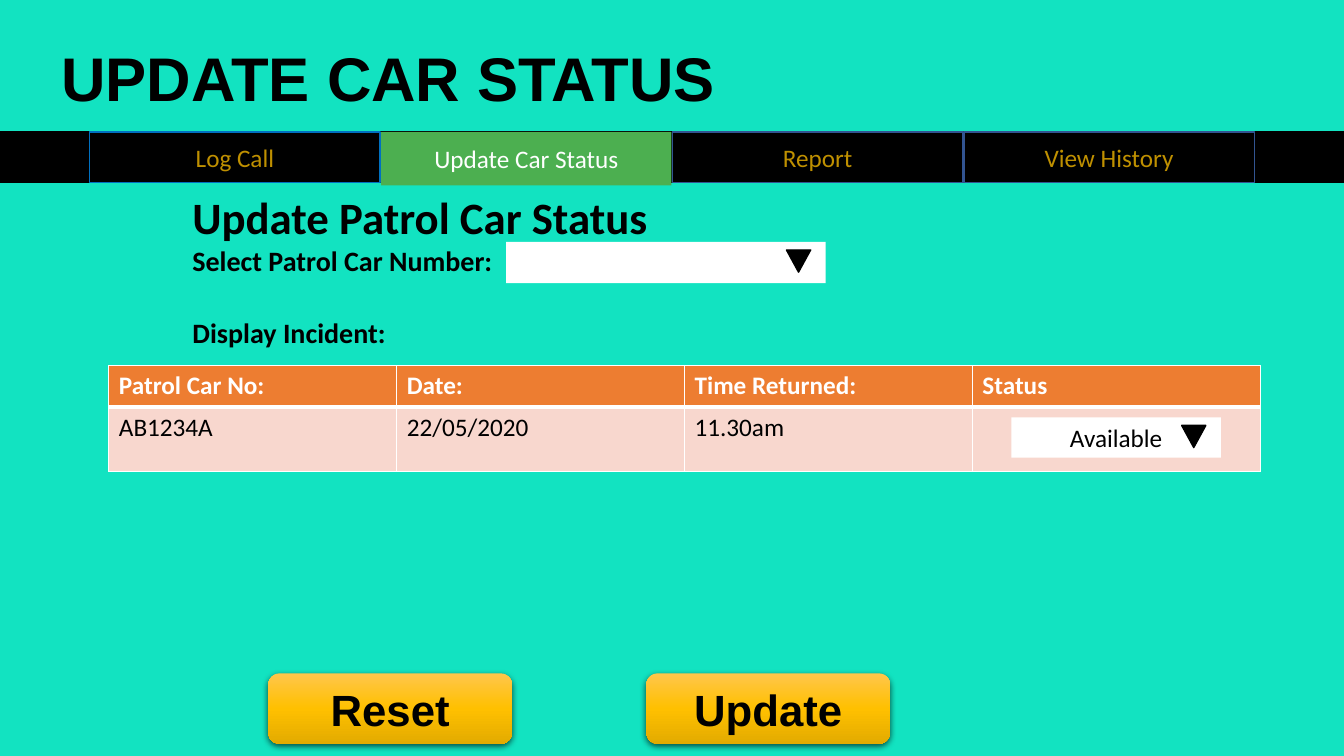
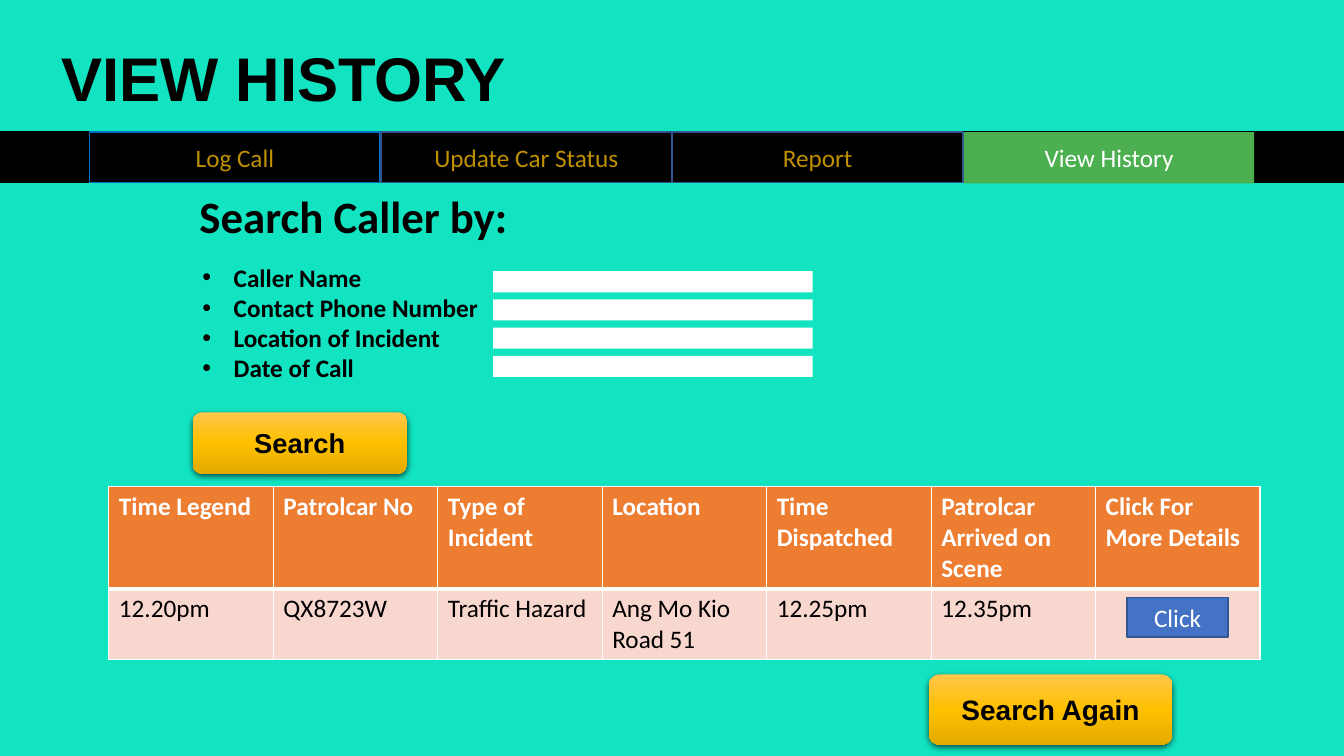
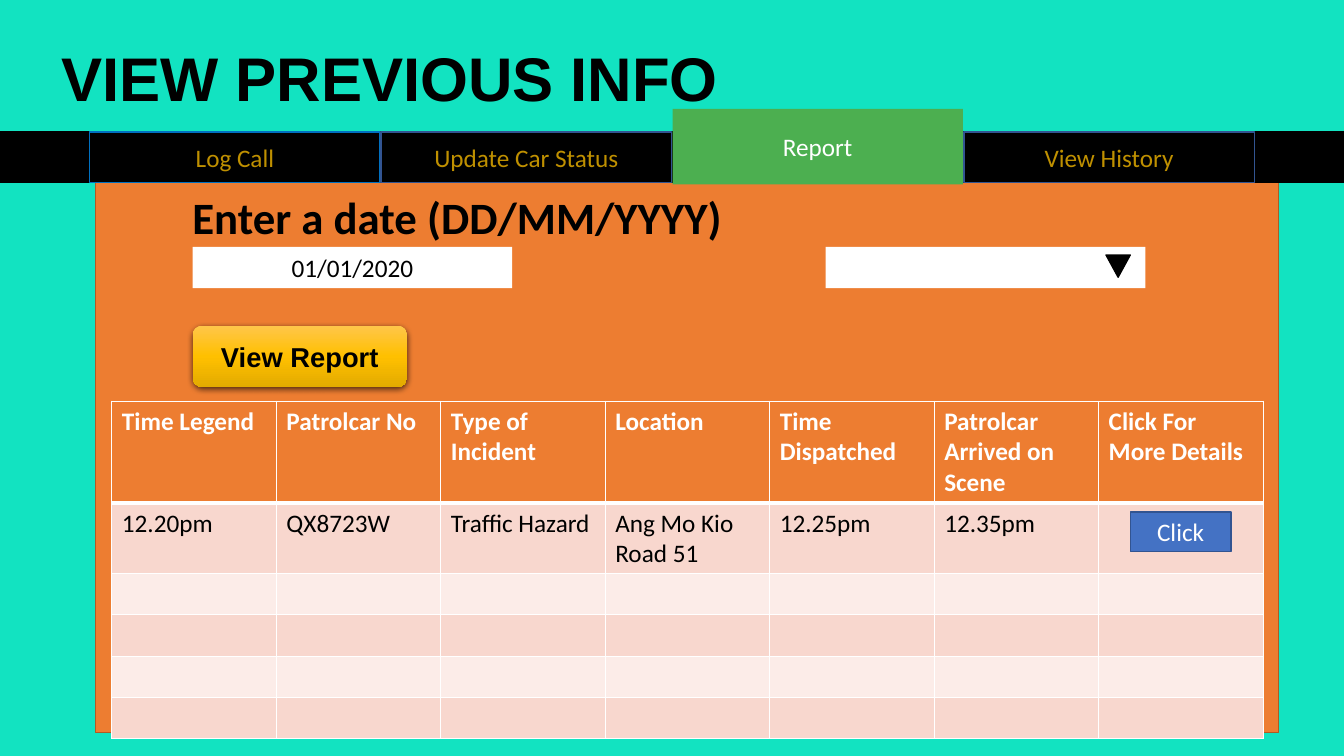
from dataclasses import dataclass

from pptx import Presentation
from pptx.dml.color import RGBColor as Rgb
from pptx.enum.shapes import MSO_SHAPE as Form
from pptx.enum.text import MSO_ANCHOR as Anchor, PP_ALIGN as Align
from pptx.oxml import parse_xml
from pptx.oxml.ns import nsdecls
from pptx.util import Inches, Pt


@dataclass(frozen=True)
class Theme:
    """Colours, fonts and type sizes of the deck."""

    back: str = "12E3C1"
    ink: str = "000000"
    paper: str = "FFFFFF"
    gold: str = "BF9000"
    green: str = "4CAF50"
    blue: str = "4472C4"
    navy: str = "325491"
    sky: str = "0070C0"
    orange: str = "ED7D31"
    rust: str = "AF5C24"
    bands: tuple = ("F8D7CE", "FCECE8")
    glow: tuple = ((0, "FFC64B"), (50, "FFC000"), (100, "E3AB00"))
    sans: str = "Arial"
    body: str = "Calibri"
    title: float = 44
    head: float = 32
    label: float = 20
    text: float = 18
    large: float = 31.2
    small: float = 19.5


@dataclass(frozen=True)
class Box:
    """A rectangle in inches."""

    x: float
    y: float
    w: float
    h: float

    def sub(self, x, y, w, h):
        """Return a box placed from this one's top left corner."""
        return Box(self.x + x, self.y + y, w, h)

    def frame(self):
        """Return the four lengths for a shape."""
        return [Inches(n) for n in (self.x, self.y, self.w, self.h)]


T = Theme()
WIDE, HIGH = 13.33, 7.5
TITLE = Box(0.51, 0.3, 9.7, 0.89)
BAND = Box(0, 1.31, WIDE, 0.5)
BODY = Box(1.08, 1.81, 11.42, 5.69)
TABS = ("Log Call", "Update Car Status", "Report", "View History")
STEP = 2.89
HEADS = ("Time Legend", "Patrolcar No", "Type of Incident", "Location",
         "Time Dispatched", "Patrolcar Arrived on Scene", "Click For More Details")
CALL = ("12.20pm", "QX8723W", "Traffic Hazard", "Ang Mo Kio Road 51",
        "12.25pm", "12.35pm", "")


def write(para, words, size, color=T.ink, font=T.body, bold=False):
    """Add one styled run to a paragraph."""
    run = para.add_run()
    run.text = words
    run.font.size, run.font.name, run.font.bold = Pt(size), font, bold
    run.font.color.rgb = Rgb.from_string(color)


def block(page, box, lines, font=T.body, bullet=False):
    """Place a text box of bold lines, each given as words and size."""
    frame = page.shapes.add_textbox(*box.frame()).text_frame
    frame.word_wrap = True
    for i, (words, size) in enumerate(lines):
        para = frame.add_paragraph() if i else frame.paragraphs[0]
        write(para, words, size, font=font, bold=True)
        if bullet:
            props = para._p.get_or_add_pPr()
            props.set("marL", str(Inches(0.31)))
            props.set("indent", str(Inches(-0.31)))
            props.append(parse_xml(f'<a:buFont {nsdecls("a")} typeface="{T.sans}"/>'))
            props.append(parse_xml(f'<a:buChar {nsdecls("a")} char="•"/>'))
    return frame


def panel(page, box, fill=None, line=None, form=Form.RECTANGLE):
    """Place a flat shape."""
    shape = page.shapes.add_shape(form, *box.frame())
    shape.shadow.inherit = False
    if fill:
        shape.fill.solid()
        shape.fill.fore_color.rgb = Rgb.from_string(fill)
    else:
        shape.fill.background()
    if line:
        shape.line.color.rgb = Rgb.from_string(line)
        shape.line.width = Pt(1)
    else:
        shape.line.fill.background()
    return shape


def label(shape, words, size=T.text, color=T.ink, font=T.body, bold=False):
    """Centre words in a shape."""
    frame = shape.text_frame
    frame.word_wrap = True
    frame.vertical_anchor = Anchor.MIDDLE
    para = frame.paragraphs[0]
    para.alignment = Align.CENTER
    write(para, words, size, color, font, bold)


def button(page, box, words, size):
    """Place a glossy rounded button with a soft shadow."""
    shape = panel(page, box, form=Form.ROUNDED_RECTANGLE)
    props = shape._element.spPr
    for tag in ("noFill", "effectLst"):
        props.remove(props.find(f"{{{props.nsmap['a']}}}{tag}"))
    stops = "".join(f'<a:gs pos="{at * 1000}"><a:srgbClr val="{color}"/></a:gs>'
                    for at, color in T.glow)
    props.find(f"{{{props.nsmap['a']}}}ln").addprevious(parse_xml(
        f'<a:gradFill {nsdecls("a")}><a:gsLst>{stops}</a:gsLst>'
        '<a:lin ang="5400000" scaled="0"/></a:gradFill>'))
    props.append(parse_xml(
        f'<a:effectLst {nsdecls("a")}><a:outerShdw blurRad="{Pt(4.5)}" dist="{Pt(1.5)}" '
        f'dir="5400000" algn="ctr" rotWithShape="0"><a:srgbClr val="{T.ink}">'
        '<a:alpha val="63000"/></a:srgbClr></a:outerShdw></a:effectLst>'))
    label(shape, words, size, font=T.sans, bold=True)


def field(page, box, words="", arrow=False):
    """Place a white input, with an arrow if it drops down."""
    shape = panel(page, box, T.paper)
    if words:
        label(shape, words)
    if arrow:
        mark = panel(page, box.sub(box.w - 0.39, 0.08, 0.24, 0.22), T.ink, T.ink,
                     Form.ISOSCELES_TRIANGLE)
        mark.rotation = 180


def edge(cell, sides):
    """Draw white borders given as side and width."""
    props = cell._tc.get_or_add_tcPr()
    for side, width in sides:
        props.append(parse_xml(
            f'<a:ln{side} {nsdecls("a")} w="{Pt(width)}"><a:solidFill>'
            f'<a:srgbClr val="{T.paper}"/></a:solidFill></a:ln{side}>'))


def grid(page, box, rows, highs):
    """Place a banded table under an orange header row."""
    cols = len(rows[0])
    table = page.shapes.add_table(len(rows), cols, *box.frame()).table
    table.horz_banding = False
    for col in table.columns:
        col.width = Inches(box.w / cols)
    for i, (row, high) in enumerate(zip(rows, highs)):
        table.rows[i].height = Inches(high)
        for j, words in enumerate(row):
            cell = table.cell(i, j)
            edge(cell, (("L", 1), ("R", 1), ("T", 3 if i == 1 else 1),
                        ("B", 1 if i else 3)))
            cell.fill.solid()
            fill = T.bands[(i - 1) % 2] if i else T.orange
            cell.fill.fore_color.rgb = Rgb.from_string(fill)
            if words:
                write(cell.text_frame.paragraphs[0], words, T.text,
                      T.ink if i else T.paper, bold=not i)


def calls(page, box, spare=0):
    """Place the call log, its spare rows and its details button."""
    rows = [HEADS, CALL] + [("",) * len(HEADS)] * spare
    grid(page, box, rows, [1.01, 0.7] + [0.41] * spare)
    label(panel(page, box.sub(10.1, 1.1, 1, 0.39), T.blue, T.navy), "Click",
          color=T.paper)


def menu(page, box, live, rise, high):
    """Place the black band and its tabs, the live one in green."""
    panel(page, box, T.ink, T.ink)
    for i, name in enumerate(TABS):
        x = 0.89 + i * STEP
        if name == live:
            tab = panel(page, box.sub(x, -rise, 2.88, high), T.green)
        else:
            tab = panel(page, box.sub(x, 0, 2.88, box.h), line=T.navy if i else T.sky)
        label(tab, name, color=T.paper if name == live else T.gold)


def status(page, box):
    """Fill the car status form."""
    block(page, box.sub(0.73, 0.02, 5.54, 0.98),
          [("Update Patrol Car Status", T.head), ("Select Patrol Car Number:", T.label)])
    field(page, box.sub(3.94, 0.59, 3.17, 0.41), arrow=True)
    block(page, box.sub(0.73, 1.27, 2.15, 0.44), [("Display Incident:", T.label)])
    grid(page, box.sub(0, 1.82, box.w, 1.05),
         [("Patrol Car No:", "Date:", "Time Returned:", "Status"),
          ("AB1234A", "22/05/2020", "11.30am", "")], (0.41, 0.64))
    field(page, box.sub(8.95, 2.33, 2.08, 0.4), "Available", arrow=True)
    for x, words in ((1.58, "Reset"), (5.33, "Update")):
        button(page, box.sub(x, 4.87, 2.42, 0.7), words, T.large)


def search(page, box):
    """Fill the caller search form."""
    names = ("Caller Name", "Contact Phone Number", "Location of Incident", "Date of Call")
    block(page, box.sub(0.8, 0.01, 6.38, 0.64), [("Search Caller by:", T.head)])
    block(page, box.sub(0.83, 0.74, 4.52, 1.31), [(name, T.text) for name in names],
          bullet=True)
    for i in range(len(names)):
        field(page, box.sub(3.81, 0.88 + i * 0.28, 3.17, 0.21))
    button(page, box.sub(0.83, 2.28, 2.13, 0.61), "Search", T.small)
    calls(page, box.sub(0, 3.02, box.w, 1.71))
    button(page, box.sub(8.13, 4.88, 2.42, 0.7), "Search Again", T.label)


def report(page, box):
    """Fill the dated report form."""
    panel(page, box.sub(-0.13, -0.5, 11.73, 5.96), T.orange, T.rust)
    block(page, box.sub(0.73, 0.02, 6.38, 0.64), [("Enter a date (DD/MM/YYYY)", T.head)])
    field(page, box.sub(0.83, 0.64, 3.17, 0.41), "01/01/2020")
    field(page, box.sub(7.11, 0.64, 3.17, 0.41), arrow=True)
    button(page, box.sub(0.83, 1.42, 2.13, 0.61), "View Report", T.small)
    calls(page, box.sub(0.03, 2.17, box.w, 3.35), spare=4)


def screen(deck, title, fill, live, rise, high):
    """Add one slide with its title, form and menu."""
    page = deck.slides.add_slide(deck.slide_layouts[6])
    page.background.fill.solid()
    page.background.fill.fore_color.rgb = Rgb.from_string(T.back)
    fill(page, BODY)
    frame = block(page, TITLE, [(title, T.title)], T.sans)
    frame.vertical_anchor = Anchor.BOTTOM
    frame.paragraphs[0].line_spacing = 0.9
    menu(page, BAND, live, rise, high)


def main():
    """Build and save the deck."""
    deck = Presentation()
    deck.slide_width, deck.slide_height = Inches(WIDE), Inches(HIGH)
    screen(deck, "UPDATE CAR STATUS", status, "Update Car Status", 0, 0.53)
    screen(deck, "VIEW HISTORY", search, "View History", 0, 0.51)
    screen(deck, "VIEW PREVIOUS INFO", report, "Report", 0.23, 0.75)
    deck.save("out.pptx")


if __name__ == "__main__":
    main()
